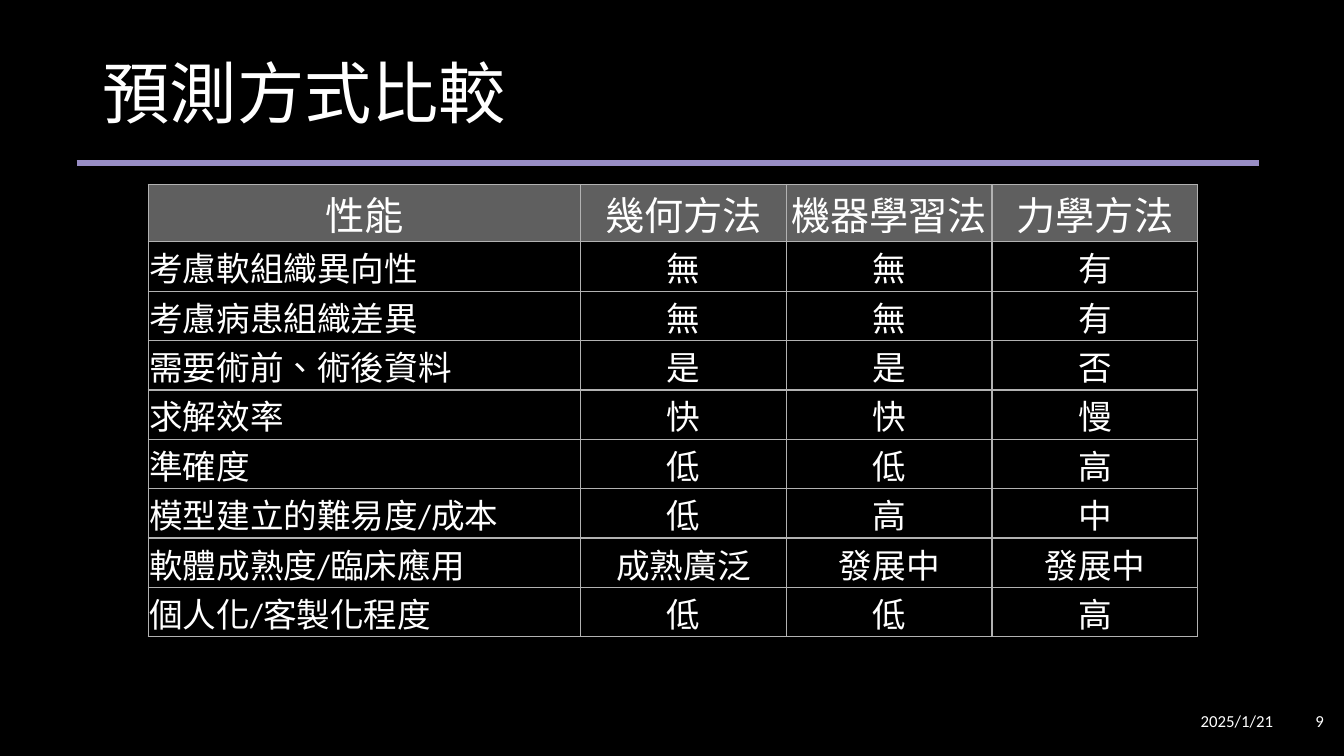
from lxml import etree
from pptx import Presentation
from pptx.dml.color import RGBColor
from pptx.enum.shapes import MSO_CONNECTOR
from pptx.enum.text import MSO_ANCHOR, PP_ALIGN
from pptx.oxml.ns import qn
from pptx.util import Inches, Pt

BLACK = RGBColor(0x00, 0x00, 0x00)
WHITE = RGBColor(0xFF, 0xFF, 0xFF)
PURPLE = RGBColor(0x98, 0x8D, 0xC4)
HEADER_GRAY = RGBColor(0x5F, 0x5F, 0x5F)
BORDER_GRAY = RGBColor(0xB2, 0xB2, 0xB2)
FONT = "Calibri"
STRAIGHT = MSO_CONNECTOR.STRAIGHT
MIDDLE = MSO_ANCHOR.MIDDLE
LEFT, CENTER, RIGHT = PP_ALIGN.LEFT, PP_ALIGN.CENTER, PP_ALIGN.RIGHT

COLUMN_WIDTHS = [4.29, 2.04, 2.04, 2.04]
HEADER_HEIGHT = 0.57
ROW_HEIGHT = 0.49
COMPARISON = [
    ["性能", "幾何方法", "機器學習法", "力學方法"],
    ["考慮軟組織異向性", "無", "無", "有"],
    ["考慮病患組織差異", "無", "無", "有"],
    ["需要術前、術後資料", "是", "是", "否"],
    ["求解效率", "快", "快", "慢"],
    ["準確度", "低", "低", "高"],
    ["模型建立的難易度/成本", "低", "高", "中"],
    ["軟體成熟度/臨床應用", "成熟廣泛", "發展中", "發展中"],
    ["個人化/客製化程度", "低", "低", "高"],
]


def style_paragraph(paragraph, text, size, align):
    paragraph.text = text
    paragraph.alignment = align
    paragraph.font.name = FONT
    paragraph.font.size = Pt(size)
    paragraph.font.color.rgb = WHITE
    # Traditional Chinese centres its punctuation
    for run in paragraph.runs:
        run._r.get_or_add_rPr().set("lang", "zh-TW")


def add_text(slide, text, left, top, width, height, size, align=LEFT):
    box = slide.shapes.add_textbox(
        Inches(left), Inches(top), Inches(width), Inches(height))
    frame = box.text_frame
    frame.word_wrap = True
    frame.vertical_anchor = MIDDLE
    style_paragraph(frame.paragraphs[0], text, size, align)
    return frame.paragraphs[0]


def add_rule(slide, left, right, y):
    rule = slide.shapes.add_connector(
        STRAIGHT, Inches(left), Inches(y), Inches(right), Inches(y))
    rule.line.color.rgb = PURPLE
    rule.line.width = Pt(4.5)
    etree.SubElement(rule._element.spPr, qn("a:effectLst"))


def set_borders(cell):
    properties = cell._tc.get_or_add_tcPr()
    # Borders come before the fill in the cell properties
    for index, side in enumerate(("a:lnL", "a:lnR", "a:lnT", "a:lnB")):
        border = etree.Element(qn(side), w=str(Pt(1)))
        fill = etree.SubElement(border, qn("a:solidFill"))
        etree.SubElement(fill, qn("a:srgbClr"), val=str(BORDER_GRAY))
        properties.insert(index, border)


def fill_cell(cell, text, is_header, align):
    cell.margin_left = cell.margin_right = cell.margin_top = Inches(0.01)
    cell.margin_bottom = 0
    cell.vertical_anchor = MIDDLE
    style_paragraph(cell.text_frame.paragraphs[0], text,
                    28 if is_header else 24, align)
    if is_header:
        cell.fill.solid()
        cell.fill.fore_color.rgb = HEADER_GRAY
    else:
        cell.fill.background()
    set_borders(cell)


def add_comparison(slide, left, top):
    row_heights = [HEADER_HEIGHT] + [ROW_HEIGHT] * (len(COMPARISON) - 1)
    table = slide.shapes.add_table(
        len(COMPARISON), len(COLUMN_WIDTHS), Inches(left), Inches(top),
        Inches(sum(COLUMN_WIDTHS)), Inches(sum(row_heights))).table
    table.horz_banding = False
    for column, width in zip(table.columns, COLUMN_WIDTHS):
        column.width = Inches(width)
    for r, labels in enumerate(COMPARISON):
        table.rows[r].height = Inches(row_heights[r])
        for c, label in enumerate(labels):
            align = LEFT if r > 0 and c == 0 else CENTER
            fill_cell(table.cell(r, c), label, r == 0, align)


def main():
    prs = Presentation()
    prs.slide_width, prs.slide_height = Inches(13.33), Inches(7.5)
    slide = prs.slides.add_slide(prs.slide_layouts[6])
    slide.background.fill.solid()
    slide.background.fill.fore_color.rgb = BLACK

    # Heading with its rule
    add_rule(slide, 0.76, 12.49, 1.62)
    title = add_text(slide, "預測方式比較", 0.92, 0.4, 11.5, 1.12, 48)
    title.line_spacing = 0.9

    # Comparison of the methods
    add_comparison(slide, 1.47, 1.83)

    # Page number and date
    add_text(slide, "9", 12.75, 6.95, 0.48, 0.4, 12, RIGHT)
    add_text(slide, "2025/1/21", 11.81, 6.95, 1.04, 0.4, 12)

    prs.save("out.pptx")


if __name__ == "__main__":
    main()
